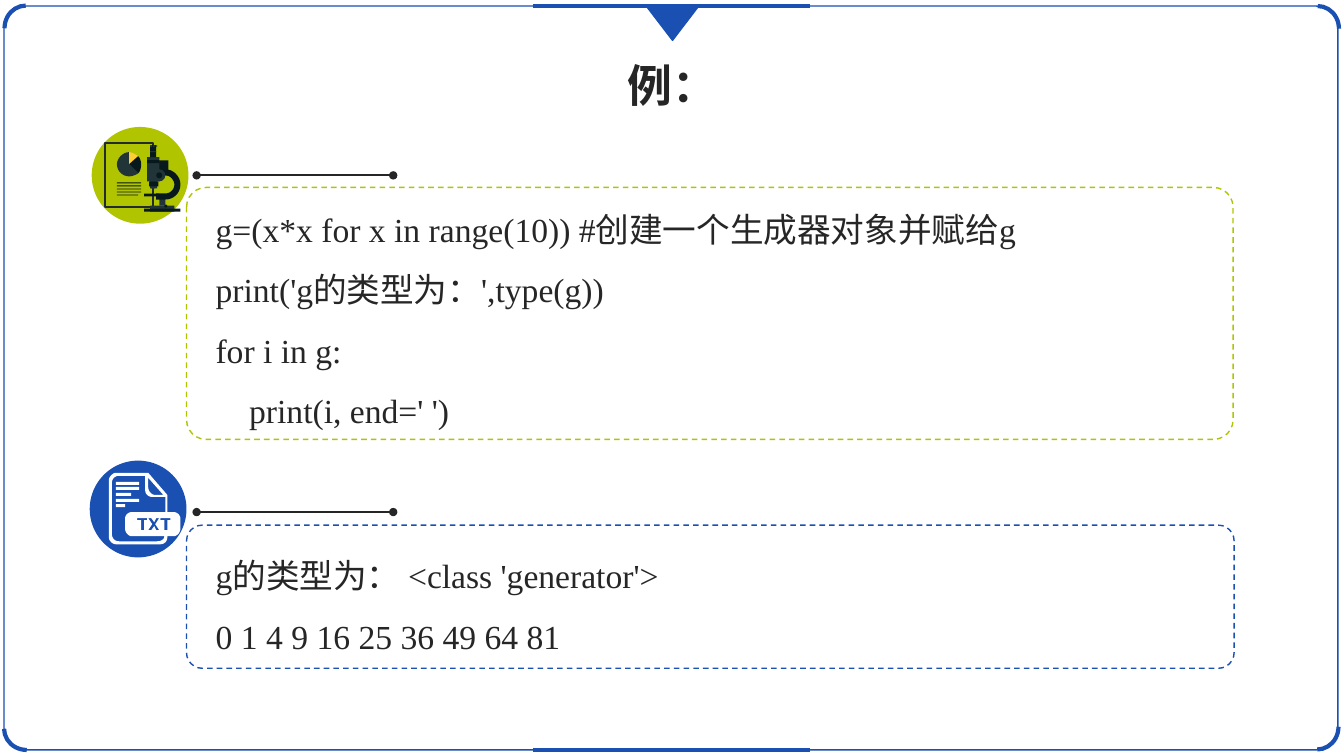
from lxml.etree import SubElement
from pptx import Presentation
from pptx.dml.color import RGBColor
from pptx.enum.dml import MSO_LINE as Dash
from pptx.enum.shapes import MSO_CONNECTOR as Connector, MSO_SHAPE as Shape
from pptx.enum.text import MSO_AUTO_SIZE as AutoSize, PP_ALIGN as Align
from pptx.oxml.ns import qn
from pptx.util import Inches, Pt

THEME = {
    "blue": RGBColor.from_string("1950B2"),
    "lime": RGBColor.from_string("B1C400"),
    "text": RGBColor.from_string("262626"),
    "sheet": RGBColor.from_string("222A35"),
    "slate": RGBColor.from_string("213538"),
    "ink": RGBColor.from_string("08191E"),
    "yellow": RGBColor.from_string("FFCE35"),
    "white": RGBColor.from_string("FFFFFF"),
    "title_font": "Noto Sans CJK SC",
    "code_font": "Times New Roman",
    "title_size": Pt(32),
    "code_size": Pt(24),
}

deck = Presentation()
deck.slide_width, deck.slide_height = Inches(13.33), Inches(7.5)
page = deck.slides.add_slide(deck.slide_layouts[6])


def add_piece(kind, area, fill=None, line=None, width=1, adjust=None, **settings):
    piece = page.shapes.add_shape(kind, *map(Inches, area))
    piece.shadow.inherit = False
    if adjust is not None:
        piece.adjustments[0] = adjust
    for paint, color in ((piece.fill, fill), (piece.line.fill, line)):
        if color:
            paint.solid()
            paint.fore_color.rgb = THEME[color]
        else:
            paint.background()
    if line:
        piece.line.width = Pt(width)
        piece.line.dash_style = settings.get("dash")
    piece.rotation = settings.get("rotation", 0)


def add_outline(contours, fill):
    builder = None
    for contour in contours:
        points = [contour[0]]
        for step in contour[1:]:
            if len(step) == 2:
                points.append(step)
                continue
            knots = [points[-1], step[:2], step[2:4], step[4:]]
            for t in (n / 8 for n in range(1, 9)):
                weights = ((1 - t) ** 3, 3 * t * (1 - t) ** 2, 3 * t * t * (1 - t), t ** 3)
                points.append(tuple(sum(w * k[axis] for w, k in zip(weights, knots)) for axis in (0, 1)))
        points = [(Inches(x), Inches(y)) for x, y in points]
        if builder is None:
            builder = page.shapes.build_freeform(*points[0], scale=1.0)
        else:
            builder.move_to(*points[0])
        builder.add_line_segments(points[1:], close=True)
    outline = builder.convert_to_shape()
    outline.shadow.inherit = False
    outline.fill.solid()
    outline.fill.fore_color.rgb = THEME[fill]
    outline.line.fill.background()


add_piece(Shape.ROUNDED_RECTANGLE, (0.04, 0.06, 13.23, 7.38), line="blue", adjust=0.029)
for corner, rotation in (
    ((0.03, 0.07, 0.45, 0.42), 270),
    ((0.04, 7.02, 0.45, 0.42), 180),
    ((12.86, 0.06, 0.42, 0.45), 0),
    ((12.84, 7, 0.45, 0.42), 90),
):
    add_piece(Shape.ARC, corner, line="blue", width=3, rotation=rotation)
add_piece(Shape.ISOSCELES_TRIANGLE, (6.41, 0.06, 0.52, 0.34), "blue", "blue", rotation=180)

for left, right, y, color, width, dotted in (
    (5.29, 8.03, 0.06, "blue", 3, False),
    (5.29, 8.03, 7.44, "blue", 3, False),
    (1.95, 3.9, 1.74, "text", 1.5, True),
    (1.95, 3.9, 5.08, "text", 1.5, True),
):
    rule = page.shapes.add_connector(Connector.STRAIGHT, *map(Inches, (left, y, right, y)))
    rule.line.color.rgb = THEME[color]
    rule.line.width = Pt(width)
    if dotted:
        for end in ("a:headEnd", "a:tailEnd"):
            SubElement(rule.line._get_or_add_ln(), qn(end), type="oval")
    SubElement(rule._element.spPr, qn("a:effectLst"))

add_piece(Shape.OVAL, (0.91, 1.26, 0.96, 0.96), "lime")
add_piece(Shape.RECTANGLE, (1.04, 1.42, 0.48, 0.63), line="sheet", width=1.5)
add_outline([[(1.28, 1.51), (1.22, 1.51, 1.16, 1.57, 1.16, 1.63), (1.16, 1.7, 1.22, 1.75, 1.28, 1.75),
              (1.31, 1.75, 1.34, 1.74, 1.37, 1.72), (1.28, 1.63)]], "slate")
add_outline([[(1.37, 1.55), (1.34, 1.53, 1.31, 1.51, 1.28, 1.51), (1.28, 1.63)]], "yellow")
add_outline([[(1.37, 1.55), (1.28, 1.63), (1.37, 1.72), (1.39, 1.7, 1.4, 1.67, 1.4, 1.63),
              (1.4, 1.6, 1.39, 1.57, 1.37, 1.55)]], "ink")
for row in range(5):
    add_piece(Shape.RECTANGLE, (1.16, 1.81 + 0.03 * row, 0.21 if row == 4 else 0.24, 0.01), "ink")

for kind, area, color in (
    (Shape.RECTANGLE, (1.49, 2.04, 0.24, 0.06), "slate"),
    (Shape.RECTANGLE, (1.55, 1.59, 0.12, 0.15), "ink"),
    (Shape.RECTANGLE, (1.58, 1.95, 0.06, 0.09), "slate"),
    (Shape.RECTANGLE, (1.49, 1.75, 0.07, 0.12), "slate"),
    (Shape.RECTANGLE, (1.48, 1.8, 0.09, 0.05), "ink"),
    (Shape.RECTANGLE, (1.46, 1.56, 0.12, 0.24), "slate"),
    (Shape.RECTANGLE, (1.49, 1.44, 0.06, 0.12), "ink"),
    (Shape.OVAL, (1.52, 1.68, 0.12, 0.12), "slate"),
    (Shape.RECTANGLE, (1.43, 1.92, 0.15, 0.03), "ink"),
    (Shape.OVAL, (1.55, 1.71, 0.06, 0.06), "ink"),
    (Shape.RECTANGLE, (1.43, 2.07, 0.36, 0.03), "ink"),
    (Shape.OVAL, (1.63, 2.03, 0.03, 0.03), "ink"),
    (Shape.RECTANGLE, (1.49, 1.5, 0.06, 0.01), "slate"),
    (Shape.RECTANGLE, (1.46, 1.59, 0.12, 0.03), "ink"),
    (Shape.RECTANGLE, (1.5, 1.86, 0.04, 0.01), "slate"),
):
    add_piece(kind, area, color)
for notch in (1.49, 1.5, 1.52, 1.53, 1.55):
    add_piece(Shape.RECTANGLE, (notch, 1.44, 0.01, 0.02), "slate")
add_outline([[(1.64, 1.68), (1.64, 1.74), (1.69, 1.74, 1.73, 1.79, 1.73, 1.83),
              (1.73, 1.88, 1.69, 1.92, 1.64, 1.92), (1.55, 1.92), (1.55, 1.98), (1.64, 1.98),
              (1.72, 1.98, 1.79, 1.92, 1.79, 1.83), (1.79, 1.75, 1.72, 1.68, 1.64, 1.68)]], "ink")

add_piece(Shape.OVAL, (0.89, 4.57, 0.96, 0.96), "blue")
file_edge = [(1.72, 5.32), (1.66, 5.32), (1.66, 5.33), (1.66, 5.37, 1.63, 5.4, 1.59, 5.4), (1.15, 5.4),
             (1.12, 5.4, 1.08, 5.37, 1.08, 5.33), (1.08, 4.76), (1.08, 4.73, 1.12, 4.69, 1.15, 4.69),
             (1.47, 4.69), (1.66, 4.91), (1.66, 5.08), (1.72, 5.08), (1.76, 5.08, 1.79, 5.11, 1.79, 5.15),
             (1.79, 5.24), (1.79, 5.28, 1.76, 5.32, 1.72, 5.32)]
file_fold = [(1.47, 4.74), (1.47, 4.83), (1.47, 4.87, 1.5, 4.91, 1.54, 4.91), (1.62, 4.91)]
file_inside = [(1.64, 4.93), (1.51, 4.93), (1.47, 4.93, 1.44, 4.9, 1.44, 4.86), (1.44, 4.72), (1.18, 4.72),
               (1.14, 4.72, 1.11, 4.75, 1.11, 4.79), (1.11, 5.3), (1.11, 5.34, 1.14, 5.37, 1.18, 5.37),
               (1.56, 5.37), (1.6, 5.37, 1.63, 5.35, 1.63, 5.32), (1.31, 5.32),
               (1.27, 5.32, 1.24, 5.28, 1.24, 5.24), (1.24, 5.15), (1.24, 5.11, 1.27, 5.08, 1.31, 5.08),
               (1.64, 5.08)]
letter_x = [(1.58, 5.14), (1.55, 5.14), (1.53, 5.18), (1.5, 5.14), (1.47, 5.14), (1.51, 5.2),
            (1.47, 5.26), (1.5, 5.26), (1.53, 5.22), (1.55, 5.26), (1.58, 5.26), (1.54, 5.2)]
letters_t = [[(x + dx, y) for dx, y in ((0, 5.14), (0.1, 5.14), (0.1, 5.16), (0.07, 5.16),
                                       (0.07, 5.26), (0.04, 5.26), (0.04, 5.16), (0, 5.16))]
             for x in (1.36, 1.59)]
file_lines = [[(1.15, y), (right, y), (right, y + 0.03), (1.15, y + 0.03)]
              for y, right in ((4.78, 1.38), (4.83, 1.38), (4.89, 1.3), (4.95, 1.38), (5, 1.24))]
add_outline([file_edge, file_fold, file_inside, letter_x, *letters_t, *file_lines], "white")

add_piece(Shape.ROUNDED_RECTANGLE, (1.85, 5.21, 10.39, 1.42), line="blue", adjust=0.11, dash=Dash.DASH)
add_piece(Shape.ROUNDED_RECTANGLE, (1.85, 1.86, 10.38, 2.5), line="lime", adjust=0.078, dash=Dash.DASH)

title_format = {"name": THEME["title_font"], "size": THEME["title_size"], "bold": True}
code_format = {"name": THEME["code_font"], "size": THEME["code_size"], "bold": False}
code_lines = ["g=(x*x for x in range(10)) #创建一个生成器对象并赋给g", "print('g的类型为：',type(g))",
              "for i in g:", "    print(i, end=' ')"]
output_lines = ["g的类型为： <class 'generator'>", "0 1 4 9 16 25 36 49 64 81"]
for area, lines, font_format, wrap, insets, para_format in (
    ((6.12, 0.52, 1.1, 0.64), ["例："], title_format, False, (0.1, 0.05), {"alignment": Align.CENTER}),
    ((2.04, 1.82, 10.16, 2.45), code_lines, code_format, True, (0.1, 0.05), {"line_spacing": 1.5}),
    ((2.08, 5.28, 9.88, 1.2), output_lines, code_format, True, (0.06, 0.03), {"line_spacing": 1.5}),
):
    box = page.shapes.add_textbox(*map(Inches, area))
    frame = box.text_frame
    side, edge = map(Inches, insets)
    frame_format = {"word_wrap": wrap, "auto_size": AutoSize.SHAPE_TO_FIT_TEXT, "margin_left": side,
                    "margin_right": side, "margin_top": edge, "margin_bottom": edge}
    for name, value in frame_format.items():
        setattr(frame, name, value)
    for index, line in enumerate(lines):
        para = frame.add_paragraph() if index else frame.paragraphs[0]
        for name, value in para_format.items():
            setattr(para, name, value)
        span = para.add_run()
        span.text = line
        for name, value in font_format.items():
            setattr(span.font, name, value)
        span.font.color.rgb = THEME["text"]
        SubElement(span.font._element, qn("a:ea"), typeface=THEME["title_font"])

deck.save("out.pptx")
